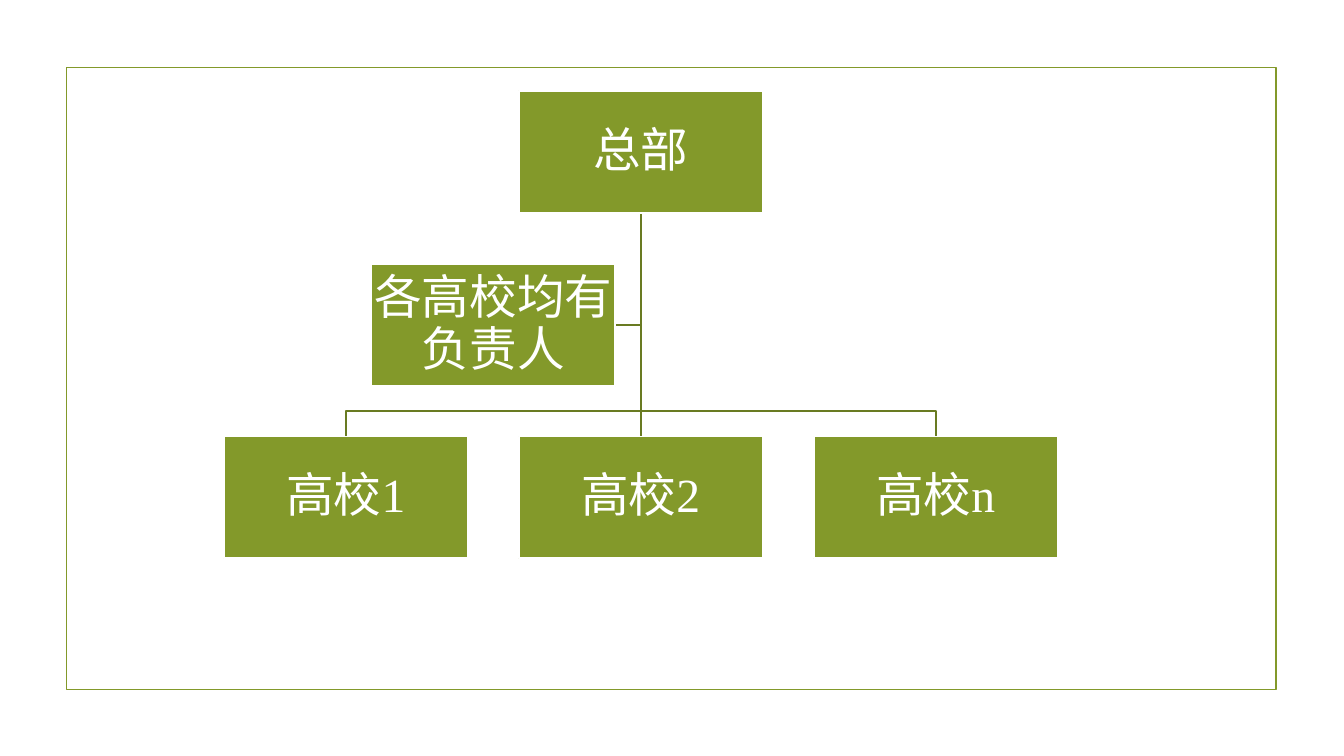
from lxml import etree
from pptx import Presentation
from pptx.dml.color import RGBColor
from pptx.enum.shapes import MSO_CONNECTOR, MSO_SHAPE
from pptx.enum.text import MSO_ANCHOR, PP_ALIGN
from pptx.oxml.ns import qn
from pptx.util import Inches, Pt

OLIVE = RGBColor(0x83, 0x99, 0x2A)
DARK_OLIVE = RGBColor(0x69, 0x7B, 0x22)
WHITE = RGBColor(0xFF, 0xFF, 0xFF)
FONT = "Times New Roman"
LINE_WIDTH = Pt(1.25)
BOX_W, BOX_H = 2.42, 1.21
COLUMN_STEP = 2.925
LEVEL_GAP = 0.51
BUS_RISE = 0.25


def style_line(line, color):
    line.color.rgb = color
    line.width = LINE_WIDTH


def write_text(shape, text, size=34, color=WHITE, align=PP_ALIGN.CENTER, inset=0.02):
    frame = shape.text_frame
    frame.word_wrap = True
    frame.vertical_anchor = MSO_ANCHOR.MIDDLE
    frame.margin_left = frame.margin_right = Inches(inset)
    frame.margin_top = frame.margin_bottom = Inches(inset)
    paragraph = frame.paragraphs[0]
    paragraph.alignment = align
    paragraph.line_spacing = 0.9
    run = paragraph.add_run()
    run.text = text
    run.font.name = FONT
    run.font.size = Pt(size)
    run.font.color.rgb = color


def add_frame(slide, left, top, width, height):
    frame = slide.shapes.add_shape(
        MSO_SHAPE.RECTANGLE, Inches(left), Inches(top), Inches(width), Inches(height))
    frame.shadow.inherit = False
    frame.fill.background()
    style_line(frame.line, OLIVE)


def add_unit(slide, text, left, top):
    unit = slide.shapes.add_shape(
        MSO_SHAPE.RECTANGLE, Inches(left), Inches(top), Inches(BOX_W), Inches(BOX_H))
    unit.shadow.inherit = False
    unit.fill.solid()
    unit.fill.fore_color.rgb = OLIVE
    style_line(unit.line, WHITE)
    write_text(unit, text)
    return unit


def add_straight(slide, x1, y1, x2, y2):
    link = slide.shapes.add_connector(
        MSO_CONNECTOR.STRAIGHT, Inches(x1), Inches(y1), Inches(x2), Inches(y2))
    etree.SubElement(link._element.spPr, qn("a:effectLst"))
    style_line(link.line, DARK_OLIVE)
    return link


def add_elbow(slide, start_x, start_y, end_x, end_y):
    """Line down to the bus, across it and down to the end point."""
    bus_y = end_y - BUS_RISE
    builder = slide.shapes.build_freeform(Inches(start_x), Inches(start_y))
    builder.add_line_segments(
        [(Inches(x), Inches(y))
         for x, y in ((start_x, bus_y), (end_x, bus_y), (end_x, end_y))], close=False)
    elbow = builder.convert_to_shape()
    elbow.shadow.inherit = False
    elbow.fill.background()
    style_line(elbow.line, DARK_OLIVE)


def add_org_chart(slide, left, top, head, assistant, branches):
    """Head above an assistant on the left and an odd number of branches."""
    middle = len(branches) // 2
    head_left = left + middle * COLUMN_STEP
    trunk_x = head_left + BOX_W / 2
    head_bottom = top + BOX_H
    assistant_top = head_bottom + LEVEL_GAP
    assistant_left = head_left - COLUMN_STEP / 2
    assistant_y = assistant_top + BOX_H / 2
    branch_top = assistant_top + BOX_H + LEVEL_GAP - 0.01
    lefts = [left + i * COLUMN_STEP for i in range(len(branches))]

    # Lines come first so that the boxes' white edges lie over their ends.
    assistant_link = add_straight(
        slide, assistant_left + BOX_W, assistant_y, trunk_x, assistant_y)
    for i, branch_left in enumerate(lefts):
        if i != middle:
            add_elbow(slide, trunk_x, head_bottom, branch_left + BOX_W / 2, branch_top)
    trunk = add_straight(slide, trunk_x, head_bottom, trunk_x, branch_top)

    head_unit = add_unit(slide, head, head_left, top)
    branch_units = [add_unit(slide, name, branch_left, branch_top)
                    for name, branch_left in zip(branches, lefts)]
    assistant_unit = add_unit(slide, assistant, assistant_left, assistant_top)

    trunk.begin_connect(head_unit, 2)
    trunk.end_connect(branch_units[middle], 0)
    assistant_link.begin_connect(assistant_unit, 3)


def main():
    presentation = Presentation()
    presentation.slide_width = Inches(13.33)
    presentation.slide_height = Inches(7.5)
    slide = presentation.slides.add_slide(presentation.slide_layouts[6])
    add_frame(slide, 0.66, 0.67, 12, 6.17)
    add_org_chart(slide, 2.22, 0.9, head="总部", assistant="各高校均有负责人",
                  branches=["高校1", "高校2", "高校n"])
    presentation.save("out.pptx")


if __name__ == "__main__":
    main()
